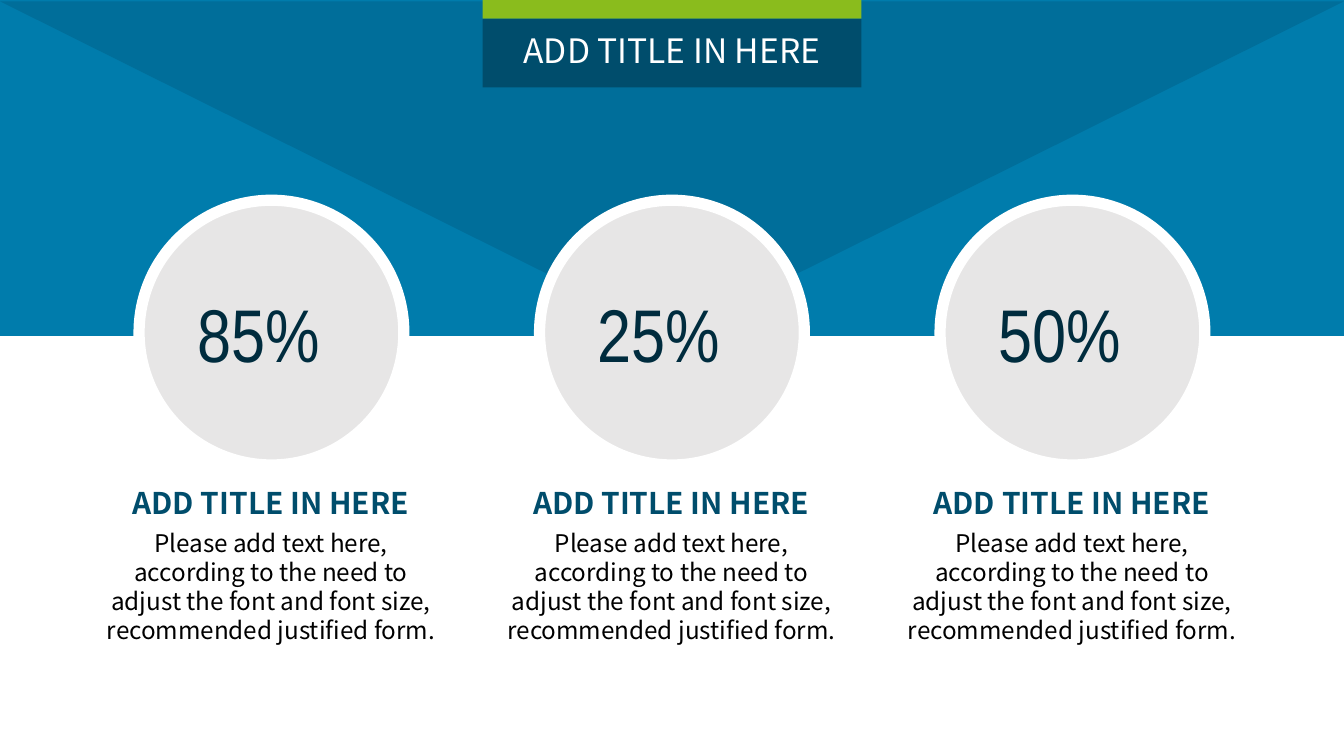
from pptx import Presentation
from pptx.dml.color import RGBColor
from pptx.enum.shapes import MSO_SHAPE
from pptx.enum.text import MSO_ANCHOR, PP_ALIGN
from pptx.util import Inches, Pt

TITLE = "ADD TITLE IN HERE"
BODY = ("Please add text here, according to the need to adjust the font "
        "and font size, recommended justified form.")
COLUMNS = [("85%", TITLE, BODY), ("25%", TITLE, BODY), ("50%", TITLE, BODY)]

COLORS = {
    "sky": "007CAC", "flap": "006E9A", "banner": "004D6C", "accent": "8ABC1D",
    "circle": "E7E6E6", "number": "002C3E", "white": "FFFFFF", "black": "000000",
}
SANS, NARROW = "Noto Sans CJK KR", "Arial Narrow"
WIDTH = 10
HEIGHT = WIDTH * 9 / 16
FIRST_CENTER, COLUMN_STEP = 2.02, 2.98
CIRCLE, BANNER = 1.97, 2.82


def color(name):
    return RGBColor.from_string(COLORS[name])


def add_block(slide, kind, box, fill, outline=None):
    shape = slide.shapes.add_shape(kind, *map(Inches, box))
    shape.shadow.inherit = False
    shape.fill.solid()
    shape.fill.fore_color.rgb = color(fill)
    if outline:
        shape.line.color.rgb = color(outline)
        shape.line.width = Pt(6)
    else:
        shape.line.fill.background()
    return shape


def write(shape, text, font, size, fill, bold=False, align=PP_ALIGN.CENTER):
    frame = shape.text_frame
    frame.word_wrap = True
    frame.vertical_anchor = MSO_ANCHOR.TOP
    frame.text = text
    paragraph = frame.paragraphs[0]
    paragraph.alignment = align
    paragraph.font.name = font
    paragraph.font.size = Pt(size)
    paragraph.font.bold = bold
    paragraph.font.color.rgb = color(fill)


def add_text(slide, box, *style, **options):
    write(slide.shapes.add_textbox(*map(Inches, box)), *style, **options)


def add_column(slide, center, number, heading, body):
    add_block(slide, MSO_SHAPE.OVAL, (center - CIRCLE / 2, 1.49, CIRCLE, CIRCLE),
              "circle", "white")
    add_text(slide, (center - 0.65, 2.09, 1.29, 0.77), number, NARROW, 40,
             "number", align=PP_ALIGN.LEFT)
    add_text(slide, (center - 1.33, 3.88, 2.65, 1.19), body, SANS, 13, "black")
    add_text(slide, (center - 1.24, 3.56, 2.47, 0.37), heading, SANS, 16,
             "banner", bold=True)


def main():
    """Build a slide with a title banner and three percentage columns."""
    presentation = Presentation()
    presentation.slide_width = Inches(WIDTH)
    presentation.slide_height = Inches(HEIGHT)
    slide = presentation.slides.add_slide(presentation.slide_layouts[5])

    add_block(slide, MSO_SHAPE.RECTANGLE, (0, 0, WIDTH, 2.5), "sky")
    flap = add_block(slide, MSO_SHAPE.ISOSCELES_TRIANGLE, (0, 0.01, WIDTH, 2.49), "flap")
    flap.rotation = 180

    banner_left = (WIDTH - BANNER) / 2
    add_block(slide, MSO_SHAPE.RECTANGLE, (banner_left, 0, BANNER, 0.14), "accent")
    banner = add_block(slide, MSO_SHAPE.RECTANGLE, (banner_left, 0.14, BANNER, 0.51), "banner")
    title = slide.shapes.title
    title.left, title.top, title.width, title.height = map(Inches, (3.62, 0.17, 2.76, 0.4))
    write(title, TITLE, SANS, 18, "white")
    banner.element.addnext(title.element)

    for index, column in enumerate(COLUMNS):
        add_column(slide, FIRST_CENTER + index * COLUMN_STEP, *column)

    presentation.save("out.pptx")


if __name__ == "__main__":
    main()
